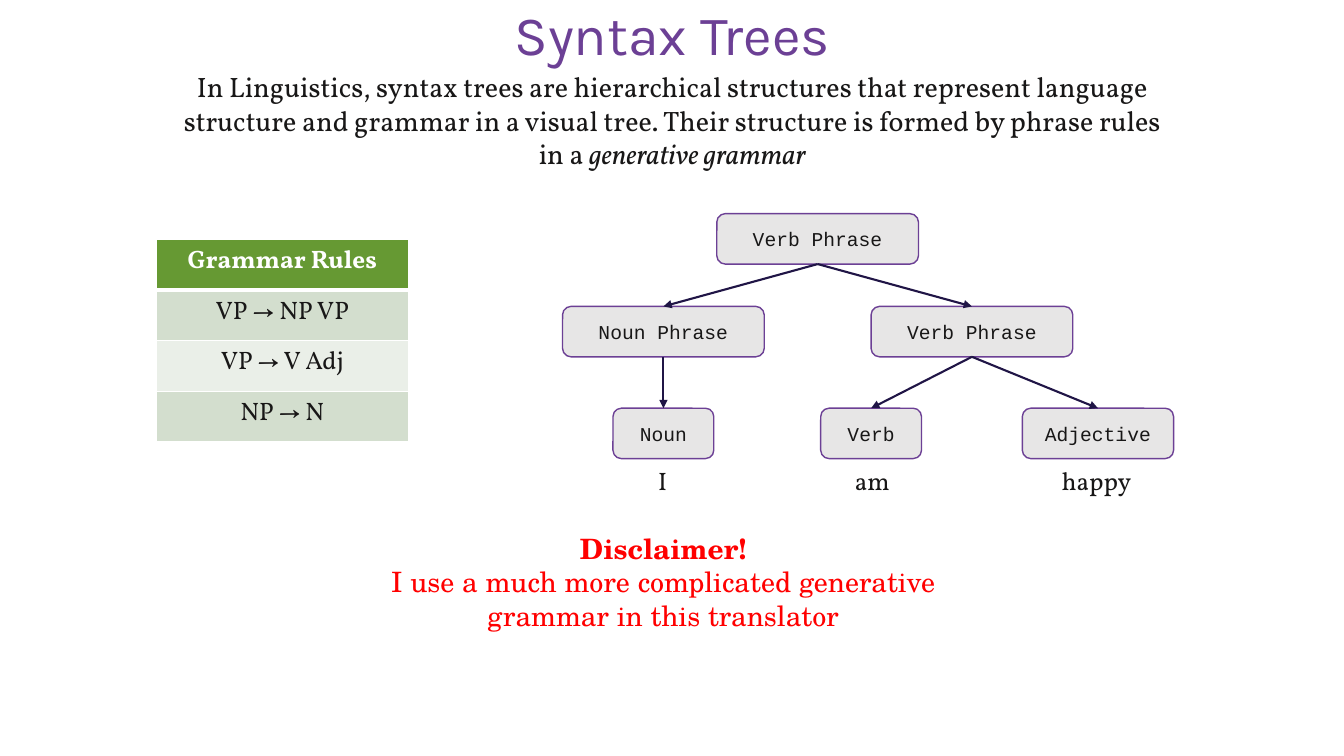
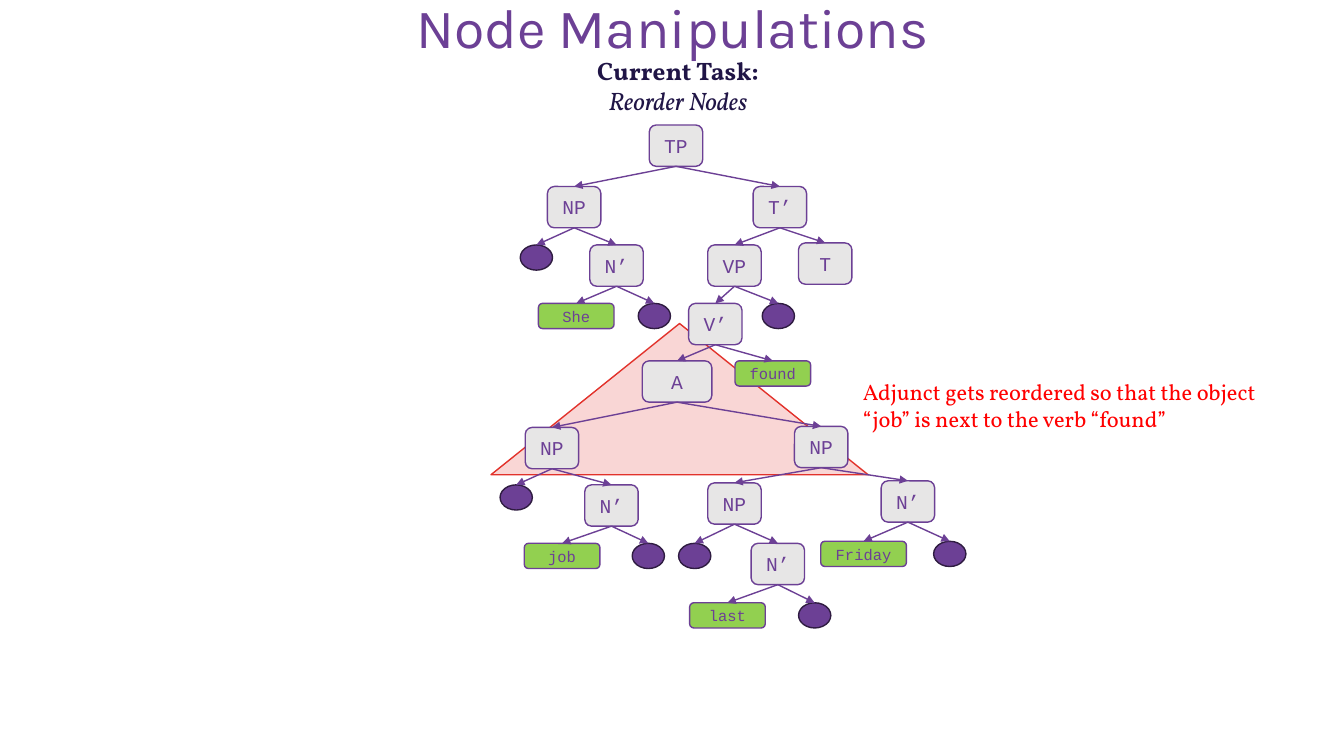
from dataclasses import dataclass

from lxml.etree import SubElement
from pptx import Presentation
from pptx.dml.color import RGBColor
from pptx.enum.shapes import MSO_CONNECTOR, MSO_SHAPE
from pptx.enum.text import MSO_ANCHOR, MSO_AUTO_SIZE, PP_ALIGN
from pptx.oxml.ns import qn
from pptx.util import Pt

PX = 9144
COLORS = {
    "purple": "6C4095",
    "plum": "2F1C41",
    "navy": "201546",
    "ink": "181717",
    "gray": "E7E6E6",
    "lime": "92D050",
    "red": "FF0000",
    "rose": "F9D6D5",
    "crimson": "E2322B",
    "white": "FFFFFF",
    "green": "669933",
    "sage": "D3DECE",
    "mist": "EAEFE8",
}
TITLE, BODY, CODE, NOTICE = "Karla", "Vollkorn", "Courier New", "TeX Gyre Schola"


@dataclass
class Style:
    width: int
    height: int
    fill: str = "gray"
    line: str = "purple"
    color: str = "purple"
    size: int = 14
    preset: MSO_SHAPE = MSO_SHAPE.ROUNDED_RECTANGLE


@dataclass
class Node:
    style: Style
    text: str
    left: int
    top: int
    kids: tuple = ()
    width: int = 0


RULE = Style(200, 50, color="ink")
PART = Style(100, 50, color="ink")
PHRASE = Style(53, 41)
WORD = Style(75, 25, fill="lime", size=11)
DOT = Style(32, 25, fill="purple", line="plum", preset=MSO_SHAPE.OVAL)


def rgb(name):
    return RGBColor.from_string(COLORS[name])


def box(left, top, width, height):
    return [v * PX for v in (left, top, width, height)]


def write(tf, paragraphs, font, size, color, align=PP_ALIGN.CENTER):
    for i, runs in enumerate(paragraphs):
        p = tf.add_paragraph() if i else tf.paragraphs[0]
        p.alignment = align
        for text, emphasis in runs:
            r = p.add_run()
            r.text = text
            r.font.name = font
            r.font.size = Pt(size)
            r.font.color.rgb = rgb(color)
            r.font.bold = emphasis == "bold"
            r.font.italic = emphasis == "italic"


def add_text(s, place, paragraphs, font, size, color, align=PP_ALIGN.CENTER, wrap=True):
    tf = s.shapes.add_textbox(*box(*place)).text_frame
    tf.word_wrap = wrap
    tf.auto_size = MSO_AUTO_SIZE.SHAPE_TO_FIT_TEXT
    write(tf, paragraphs, font, size, color, align)
    return tf


def add_title(s, text, top, height):
    tf = add_text(s, (92, top, 1150, height), [[(text, "")]], TITLE, 39.6, "purple")
    tf.auto_size = MSO_AUTO_SIZE.NONE
    tf.vertical_anchor = MSO_ANCHOR.MIDDLE
    tf.paragraphs[0].line_spacing = 0.9


def add_shape(s, preset, place, fill, line):
    sp = s.shapes.add_shape(preset, *box(*place))
    sp.shadow.inherit = False
    sp.fill.solid()
    sp.fill.fore_color.rgb = rgb(fill)
    sp.line.color.rgb = rgb(line)
    sp.line.width = Pt(1)
    return sp


def add_arrow(s, parent, child, color, width):
    c = s.shapes.add_connector(MSO_CONNECTOR.STRAIGHT, 0, 0, 0, 0)
    c.begin_connect(parent, 2)
    c.end_connect(child, 0)
    c.line.color.rgb = rgb(color)
    c.line.width = Pt(width)
    SubElement(c.line._get_or_add_ln(), qn("a:tailEnd"), type="triangle")
    SubElement(c._element.spPr, qn("a:effectLst"))


def add_tree(s, node, arrow_color, arrow_width):
    st = node.style
    place = node.left, node.top, node.width or st.width, st.height
    sp = add_shape(s, st.preset, place, st.fill, st.line)
    if node.text:
        tf = sp.text_frame
        tf.word_wrap = False
        tf.vertical_anchor = MSO_ANCHOR.MIDDLE
        write(tf, [[(node.text, "")]], CODE, st.size, st.color)
    for kid in node.kids:
        child = add_tree(s, kid, arrow_color, arrow_width)
        add_arrow(s, sp, child, arrow_color, arrow_width)
    return sp


def add_border(cell, side, width):
    tcPr = cell._tc.get_or_add_tcPr()
    ln = SubElement(tcPr, qn(f"a:ln{side}"), w=str(Pt(width)))
    fill = SubElement(ln, qn("a:solidFill"))
    SubElement(fill, qn("a:srgbClr"), val=COLORS["white"])


def add_rules(s, place, rows):
    table = s.shapes.add_table(len(rows), 1, *box(*place)).table
    for i, text in enumerate(rows):
        cell = table.cell(i, 0)
        header = i == 0
        for side in "LRTB":
            thick = (header and side == "B") or (i == 1 and side == "T")
            add_border(cell, side, 3 if thick else 1)
        cell.fill.solid()
        cell.fill.fore_color.rgb = rgb("green" if header else "sage" if i % 2 else "mist")
        run = (text, "bold" if header else "")
        write(cell.text_frame, [[run]], BODY, 18, "white" if header else "ink")


def syntax_trees(s):
    add_title(s, "Syntax Trees", 1, 73)
    intro = (
        "In Linguistics, syntax trees are hierarchical structures that represent "
        "language structure and grammar in a visual tree. Their structure is formed "
        "by phrase rules in a "
    )
    add_text(s, (167, 64, 1000, 111), [[(intro, ""), ("generative grammar", "italic")]],
             BODY, 20, "ink")
    add_rules(s, (155, 238, 250, 200),
              ["Grammar Rules", "VP → NP VP", "VP → V Adj", "NP → N"])
    tree = Node(RULE, "Verb Phrase", 711, 212, (
        Node(RULE, "Noun Phrase", 558, 304, (
            Node(PART, "Noun", 608, 405),
        )),
        Node(RULE, "Verb Phrase", 864, 304, (
            Node(PART, "Verb", 814, 405),
            Node(PART, "Adjective", 1014, 405, width=150),
        )),
    ))
    add_tree(s, tree, "navy", 1.5)
    for word, left, width in (("I", 643, 29), ("am", 838, 55), ("happy", 1043, 92)):
        add_text(s, (left, 457, width, 40), [[(word, "")]], BODY, 18, "ink",
                 PP_ALIGN.LEFT, wrap=False)
    notice = "I use a much more complicated generative grammar in this translator"
    add_text(s, (358, 522, 600, 145), [[("Disclaimer!", "bold")], [(notice, "")]],
             NOTICE, 20, "red")


def node_manipulations(s):
    add_shape(s, MSO_SHAPE.ISOSCELES_TRIANGLE, (487, 321, 374, 150), "rose", "crimson")
    add_title(s, "Node Manipulations", 5, 51)
    job = Node(PHRASE, "NP", 521, 424, (
        Node(DOT, "", 496, 481),
        Node(PHRASE, "N’", 580, 481, (
            Node(WORD, "job", 520, 539),
            Node(DOT, "", 627, 539),
        )),
    ))
    last_friday = Node(PHRASE, "NP", 788, 423, (
        Node(PHRASE, "NP", 702, 479, (
            Node(DOT, "", 673, 539),
            Node(PHRASE, "N’", 745, 539, (
                Node(WORD, "last", 684, 598),
                Node(DOT, "", 792, 598),
            )),
        )),
        Node(PHRASE, "N’", 874, 477, (
            Node(WORD, "Friday", 814, 537, width=85),
            Node(DOT, "", 926, 537),
        )),
    ))
    she = Node(PHRASE, "NP", 543, 185, (
        Node(DOT, "", 516, 243),
        Node(PHRASE, "N’", 585, 243, (
            Node(WORD, "She", 534, 301),
            Node(DOT, "", 633, 301),
        )),
    ))
    found = Node(PHRASE, "VP", 702, 243, (
        Node(PHRASE, "V’", 683, 301, (
            Node(PHRASE, "A", 637, 358, (job, last_friday), width=69),
            Node(WORD, "found", 729, 358),
        )),
        Node(DOT, "", 756, 301),
    ))
    tense = Node(PHRASE, "T’", 747, 185, (found, Node(PHRASE, "T", 792, 241)))
    add_tree(s, Node(PHRASE, "TP", 644, 124, (she, tense)), "purple", 1)
    note = "Adjunct gets reordered so that the object “job” is next to the verb “found”"
    add_text(s, (846, 370, 445, 64), [[(note, "")]], BODY, 16, "red", PP_ALIGN.LEFT)
    add_text(s, (416, 50, 513, 71),
             [[("Current Task:", "bold")], [("Reorder Nodes", "italic")]],
             BODY, 18, "navy")


def main():
    prs = Presentation()
    prs.slide_width, prs.slide_height = 1333 * PX, 750 * PX
    for build in (syntax_trees, node_manipulations):
        build(prs.slides.add_slide(prs.slide_layouts[6]))
    prs.save("out.pptx")


if __name__ == "__main__":
    main()
